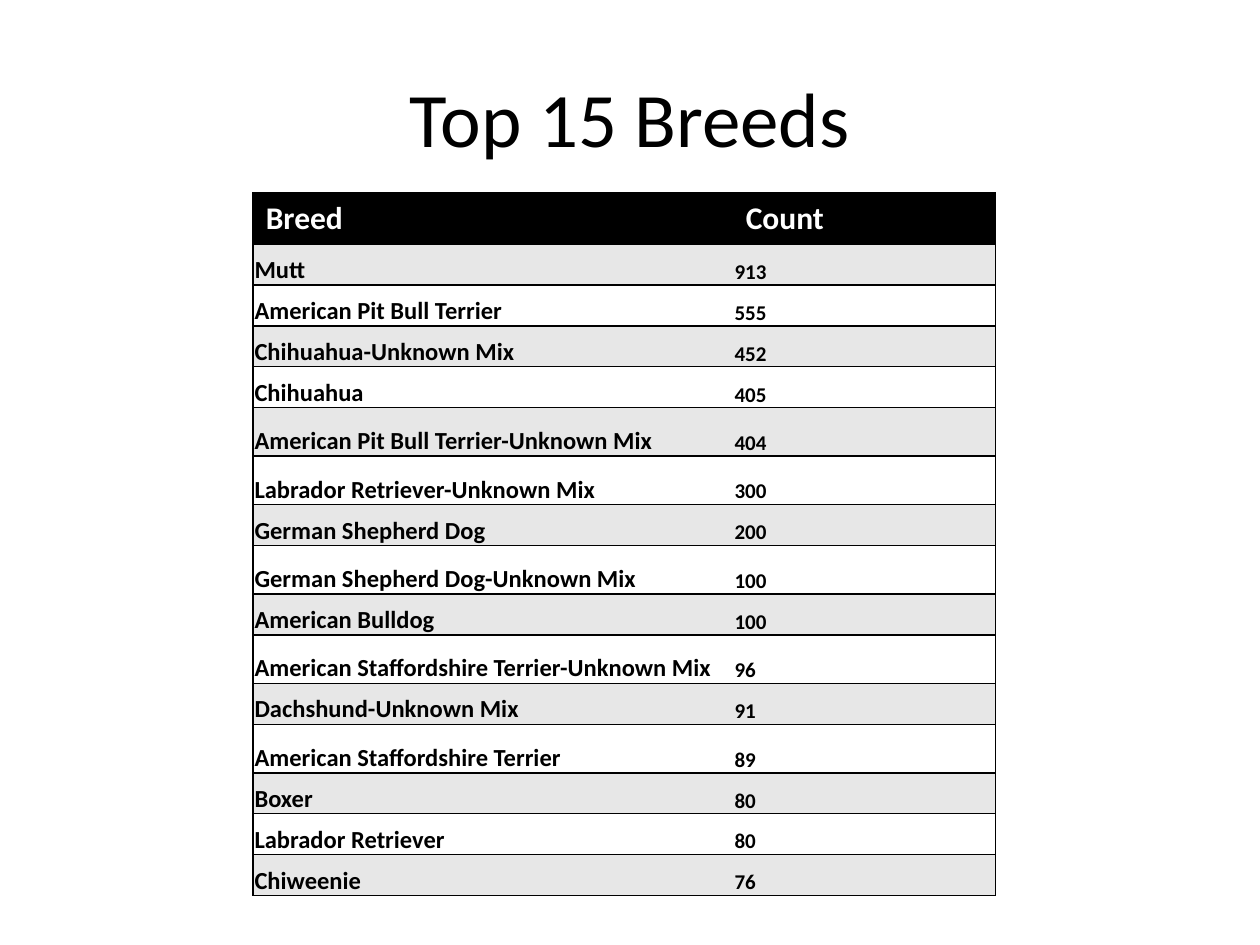
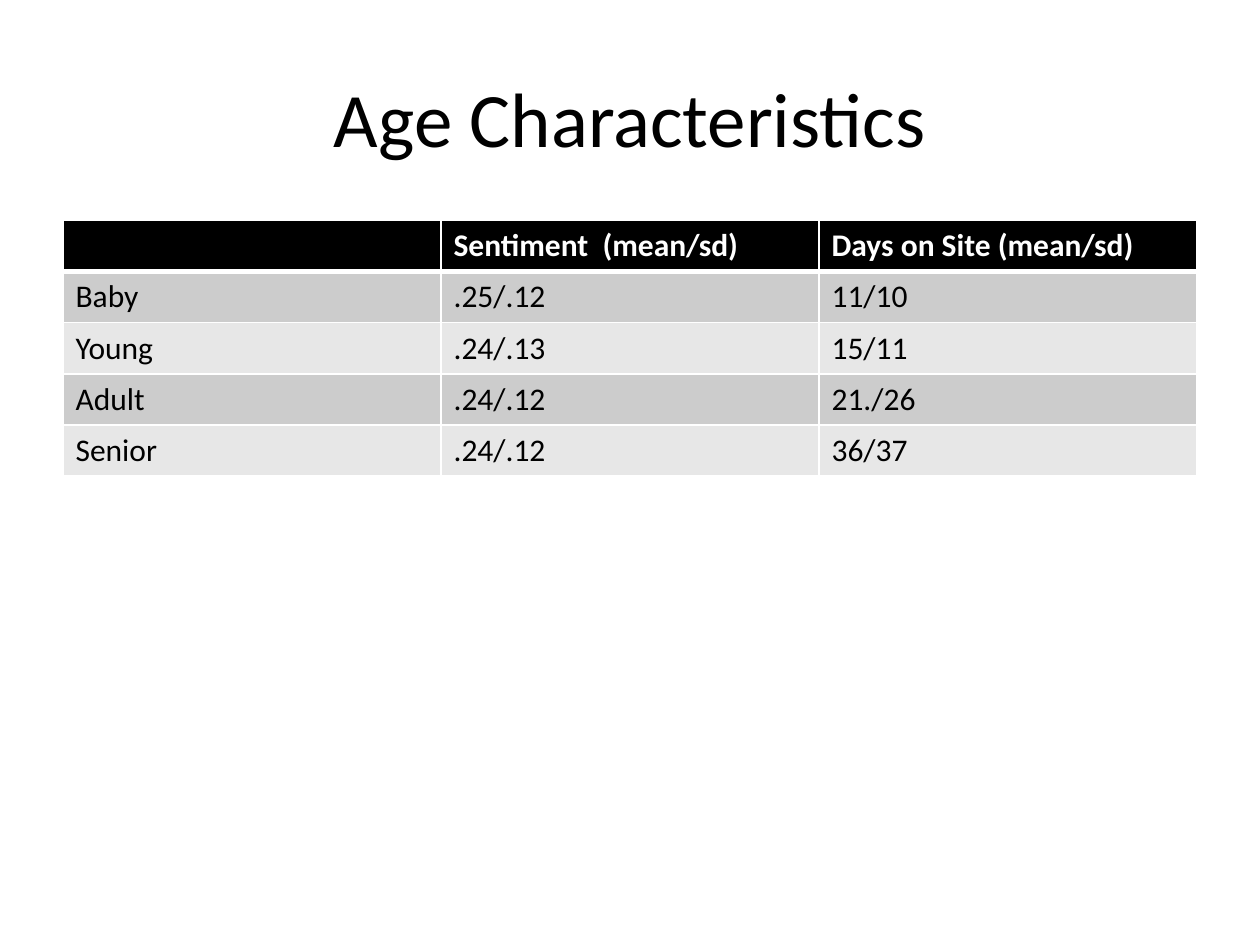
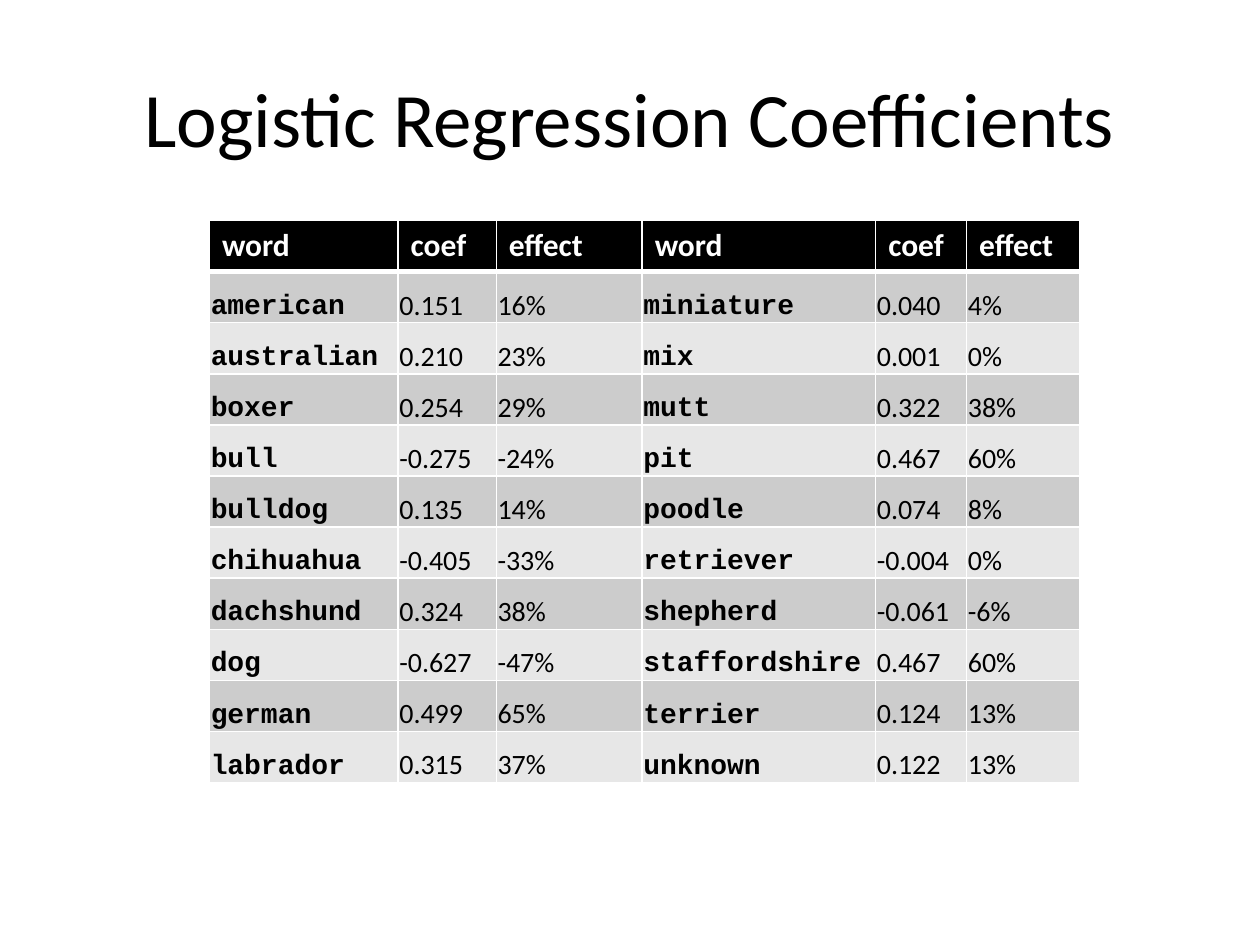
"""Build three table slides about dog breeds, ages and word coefficients."""
from dataclasses import dataclass

from lxml import etree
from pptx import Presentation
from pptx.dml.color import RGBColor
from pptx.enum.text import MSO_ANCHOR, PP_ALIGN
from pptx.oxml.ns import qn
from pptx.util import Pt

BLACK = RGBColor(0x00, 0x00, 0x00)
WHITE = RGBColor(0xFF, 0xFF, 0xFF)
LIGHT_GREY = RGBColor(0xE7, 0xE7, 0xE7)
MID_GREY = RGBColor(0xCC, 0xCC, 0xCC)
CENTER = PP_ALIGN.CENTER
MIDDLE = MSO_ANCHOR.MIDDLE
BOTTOM = MSO_ANCHOR.BOTTOM
BLANK_LAYOUT = 6
BODY_FONT = "Calibri"
CODE_FONT = "Courier New"
ROW_HEIGHT = 29.2
BREED_ROW_HEIGHT = 23.4
TALL_BREED_ROW_HEIGHT = 27.7
TALL_BREED_ROWS = (5, 6, 8, 10, 12)
SNUG_INSET = 0.75


@dataclass
class TextStyle:
    """Look of the text in a table cell."""

    size: float = 18
    bold: bool = False
    font: str = BODY_FONT
    color: RGBColor = BLACK
    snug: bool = False


@dataclass
class TableLook:
    """Band fills and rules of a table."""

    bands: tuple
    rule_color: RGBColor
    header_rule: float = 1
    inner_verticals: bool = True


HEADER = TextStyle(bold=True, color=WHITE)
PLAIN = TextStyle()
BREED = TextStyle(14, bold=True, snug=True)
BREED_COUNT = TextStyle(12, bold=True, snug=True)
WORD = TextStyle(16, bold=True, font=CODE_FONT, snug=True)
NUMBER = TextStyle(16, snug=True)

RULED = TableLook((LIGHT_GREY, WHITE), BLACK, inner_verticals=False)
GRID = TableLook((MID_GREY, LIGHT_GREY), WHITE, header_rule=3)

BREED_ROWS = [
    ("Breed", "Count"),
    ("Mutt", "913"),
    ("American Pit Bull Terrier", "555"),
    ("Chihuahua-Unknown Mix", "452"),
    ("Chihuahua", "405"),
    ("American Pit Bull Terrier-Unknown Mix", "404"),
    ("Labrador Retriever-Unknown Mix", "300"),
    ("German Shepherd Dog", "200"),
    ("German Shepherd Dog-Unknown Mix", "100"),
    ("American Bulldog", "100"),
    ("American Staffordshire Terrier-Unknown Mix", "96"),
    ("Dachshund-Unknown Mix", "91"),
    ("American Staffordshire Terrier", "89"),
    ("Boxer", "80"),
    ("Labrador Retriever", "80"),
    ("Chiweenie", "76"),
]
AGE_ROWS = [
    ("", "Sentiment  (mean/sd)", "Days on Site (mean/sd)"),
    ("Baby", ".25/.12", "11/10"),
    ("Young", ".24/.13", "15/11"),
    ("Adult", ".24/.12", "21./26"),
    ("Senior", ".24/.12", "36/37"),
]
COEFFICIENT_ROWS = [
    ("word", "coef", "effect") * 2,
    ("american", "0.151", "16%", "miniature", "0.040", "4%"),
    ("australian", "0.210", "23%", "mix", "0.001", "0%"),
    ("boxer", "0.254", "29%", "mutt", "0.322", "38%"),
    ("bull", "-0.275", "-24%", "pit", "0.467", "60%"),
    ("bulldog", "0.135", "14%", "poodle", "0.074", "8%"),
    ("chihuahua", "-0.405", "-33%", "retriever", "-0.004", "0%"),
    ("dachshund", "0.324", "38%", "shepherd", "-0.061", "-6%"),
    ("dog", "-0.627", "-47%", "staffordshire", "0.467", "60%"),
    ("german", "0.499", "65%", "terrier", "0.124", "13%"),
    ("labrador", "0.315", "37%", "unknown", "0.122", "13%"),
]


def add_span(para, text, style):
    """Add one run of styled text to a paragraph."""
    span = para.add_run()
    span.text = text
    span.font.name = style.font
    span.font.size = Pt(style.size)
    span.font.bold = style.bold
    span.font.color.rgb = style.color


def add_titled_page(deck, title):
    """Add a blank page with a centred title."""
    page = deck.slides.add_slide(deck.slide_layouts[BLANK_LAYOUT])
    box = page.shapes.add_textbox(Pt(36), Pt(21.6), Pt(648), Pt(90))
    box.text_frame.word_wrap = True
    box.text_frame.vertical_anchor = MIDDLE
    para = box.text_frame.paragraphs[0]
    para.alignment = CENTER
    add_span(para, title, TextStyle(44))
    return page


def add_rule(cell, side, width, color):
    """Draw one side of a cell, or hide it when the width is zero."""
    properties = cell._tc.get_or_add_tcPr()
    line = etree.SubElement(properties, qn(f"a:ln{side}"), w=str(Pt(width)))
    if width:
        fill = etree.SubElement(line, qn("a:solidFill"))
        etree.SubElement(fill, qn("a:srgbClr"), val=str(color))
    else:
        etree.SubElement(line, qn("a:noFill"))


def rule_cell(cell, look, row, column, last_column):
    """Draw the four sides of a cell."""
    inner = 1 if look.inner_verticals else 0
    widths = {
        "L": inner if column else 1,
        "R": inner if column < last_column else 1,
        "T": look.header_rule if row == 1 else 1,
        "B": look.header_rule if row == 0 else 1,
    }
    for side, width in widths.items():
        add_rule(cell, side, width, look.rule_color)


def fill_cell(cell, text, style, color):
    """Set the fill, insets and text of a cell."""
    cell.fill.solid()
    cell.fill.fore_color.rgb = color
    if style.snug:
        cell.vertical_anchor = BOTTOM
        cell.margin_left = cell.margin_right = cell.margin_top = Pt(SNUG_INSET)
        cell.margin_bottom = 0
    if text:
        add_span(cell.text_frame.paragraphs[0], text, style)


def add_data_table(page, left, top, widths, heights, rows, styles, look):
    """Add a table with a black header and banded body rows."""
    frame = page.shapes.add_table(
        len(rows), len(widths), Pt(left), Pt(top), Pt(sum(widths)), Pt(sum(heights))
    )
    table = frame.table
    table.first_row = table.horz_banding = False
    for column, width in zip(table.columns, widths):
        column.width = Pt(width)
    for row, height in zip(table.rows, heights):
        row.height = Pt(height)
    for row, texts in enumerate(rows):
        for column, text in enumerate(texts):
            cell = table.cell(row, column)
            rule_cell(cell, look, row, column, len(widths) - 1)
            if row == 0:
                fill_cell(cell, text, HEADER, BLACK)
            else:
                fill_cell(cell, text, styles[column], look.bands[(row - 1) % 2])


def add_breeds_page(deck):
    """Add the page with the most common breeds."""
    page = add_titled_page(deck, "Top 15 Breeds")
    heights = [ROW_HEIGHT] + [
        TALL_BREED_ROW_HEIGHT if row in TALL_BREED_ROWS else BREED_ROW_HEIGHT
        for row in range(1, len(BREED_ROWS))
    ]
    add_data_table(page, 144.7, 110.2, (274.3, 149.8), heights,
                   BREED_ROWS, (BREED, BREED_COUNT), RULED)


def add_ages_page(deck):
    """Add the page with sentiment and days on site by age."""
    page = add_titled_page(deck, "Age Characteristics")
    add_data_table(page, 36, 126, (216,) * 3, [ROW_HEIGHT] * len(AGE_ROWS),
                   AGE_ROWS, (PLAIN,) * 3, GRID)


def add_coefficients_page(deck):
    """Add the page with the regression coefficients by word."""
    page = add_titled_page(deck, "Logistic Regression Coefficients")
    widths = (107.8, 56.1, 83.4, 133.4, 52, 64.6)
    add_data_table(page, 119.7, 126, widths, [ROW_HEIGHT] * len(COEFFICIENT_ROWS),
                   COEFFICIENT_ROWS, (WORD, NUMBER, NUMBER) * 2, GRID)


def main():
    """Build and save the deck."""
    deck = Presentation()
    deck.slide_width, deck.slide_height = Pt(720), Pt(540)
    add_breeds_page(deck)
    add_ages_page(deck)
    add_coefficients_page(deck)
    deck.save("out.pptx")


if __name__ == "__main__":
    main()
